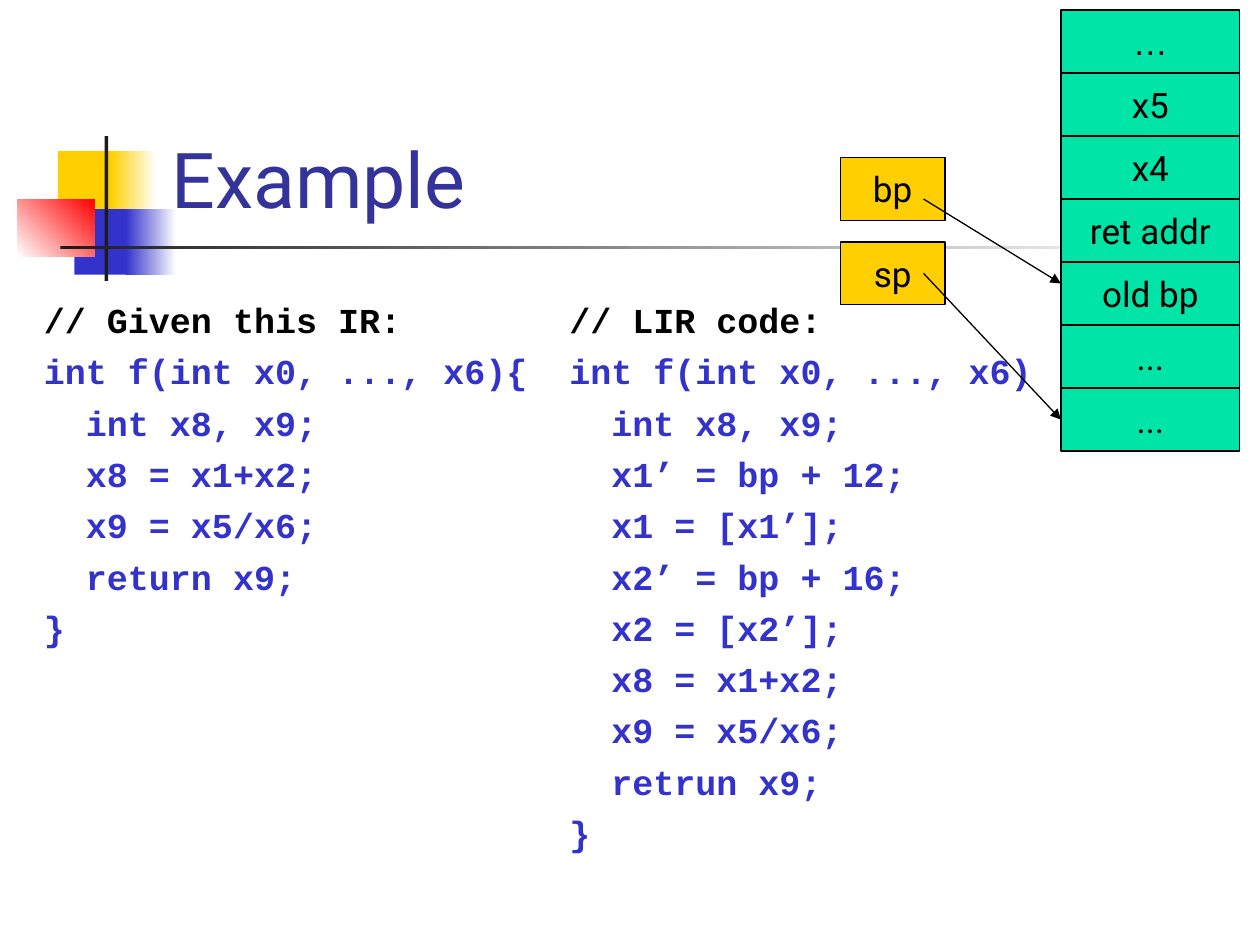
from pptx import Presentation
from pptx.dml.color import RGBColor
from pptx.enum.shapes import MSO_CONNECTOR, MSO_SHAPE
from pptx.enum.text import MSO_ANCHOR, PP_ALIGN
from pptx.oxml.ns import qn
from pptx.util import Inches, Pt
from lxml import etree

RECTANGLE = MSO_SHAPE.RECTANGLE
STRAIGHT = MSO_CONNECTOR.STRAIGHT
MIDDLE, BOTTOM = MSO_ANCHOR.MIDDLE, MSO_ANCHOR.BOTTOM
CENTER, LEFT = PP_ALIGN.CENTER, PP_ALIGN.LEFT

BLACK = RGBColor(0x00, 0x00, 0x00)
WHITE = RGBColor(0xFF, 0xFF, 0xFF)
YELLOW = RGBColor(0xFF, 0xCF, 0x01)
BLUE = RGBColor(0x33, 0x33, 0xCC)
NAVY = RGBColor(0x33, 0x33, 0x99)
RED = RGBColor(0xFF, 0x00, 0x00)
CHARCOAL = RGBColor(0x1C, 0x1C, 0x1C)
GREEN = RGBColor(0x00, 0xE4, 0xA8)

IR_CODE = [
    "// Given this IR:",
    "int f(int x0, ..., x6){",
    "  int x8, x9;",
    "  x8 = x1+x2;",
    "  x9 = x5/x6;",
    "  return x9;",
    "}",
]
LIR_CODE = [
    "// LIR code:",
    "int f(int x0, ..., x6)",
    "  int x8, x9;",
    "  x1’ = bp + 12;",
    "  x1 = [x1’];",
    "  x2’ = bp + 16;",
    "  x2 = [x2’];",
    "  x8 = x1+x2;",
    "  x9 = x5/x6;",
    "  retrun x9;",
    "}",
]
STACK = ["…", "x5", "x4", "ret addr", "old bp", "...", "..."]


def inches(values):
    return [Inches(value) for value in values]


def add_block(page, bounds, start, end=None, angle=0):
    block = page.shapes.add_shape(RECTANGLE, *inches(bounds))
    block.shadow.inherit = False
    block.line.fill.background()
    if end is None:
        block.fill.solid()
        block.fill.fore_color.rgb = start
    else:
        block.fill.gradient()
        block.fill.gradient_angle = angle
        for stop, color in zip(block.fill.gradient_stops, (start, end)):
            stop.color.rgb = color


def add_decoration(page, left, top):
    blocks = [
        ((0.32, 0.12, 0.48, 0.52), YELLOW),
        ((0.74, 0.12, 0.36, 0.52), YELLOW, WHITE),
        ((0.45, 0.58, 0.46, 0.52), BLUE),
        ((0.86, 0.58, 0.4, 0.52), BLUE, WHITE),
        ((0, 0.5, 0.61, 0.46), WHITE, RED, 45),
        ((0.69, 0, 0.03, 1.15), CHARCOAL),
        ((0.34, 0.87, 9, 0.03), CHARCOAL, WHITE),
    ]
    for (x, y, width, height), *colors in blocks:
        add_block(page, (left + x, top + y, width, height), *colors)


def set_title(page, bounds):
    title = page.shapes.title
    title.left, title.top, title.width, title.height = inches(bounds)
    title.element.getparent().append(title.element)
    frame = title.text_frame
    frame.text = "Example"
    frame.vertical_anchor = BOTTOM
    para = frame.paragraphs[0]
    para.alignment = LEFT
    font = para.runs[0].font
    font.name, font.size = "Roboto", Pt(44)
    font.color.rgb = NAVY


def add_code(page, bounds, lines):
    box = page.shapes.add_textbox(*inches(bounds))
    frame = box.text_frame
    frame.word_wrap = True
    frame.margin_top = Inches(0.12)
    frame.text = "\n".join(lines)
    for index, para in enumerate(frame.paragraphs):
        properties = para._p.get_or_add_pPr()
        properties.set("marL", str(Inches(0.38)))
        properties.set("indent", str(Inches(-0.38)))
        para.space_before = Pt(5.3 if index else 0)
        font = para.runs[0].font
        font.name, font.size, font.bold = "Courier New", Pt(20), True
        font.color.rgb = BLUE if index else BLACK


def add_cell(page, bounds, text, color):
    cell = page.shapes.add_shape(RECTANGLE, *inches(bounds))
    cell.shadow.inherit = False
    cell.fill.solid()
    cell.fill.fore_color.rgb = color
    cell.line.color.rgb = BLACK
    cell.line.width = Pt(0.75)
    frame = cell.text_frame
    frame.word_wrap = False
    frame.vertical_anchor = MIDDLE
    frame.text = text
    para = frame.paragraphs[0]
    para.alignment = CENTER
    font = para.runs[0].font
    font.name = "Arial" if text == "…" else "Roboto"
    font.size = Pt(20)
    font.color.rgb = BLACK


def add_stack(page, left, top, width, row_height):
    for row, text in enumerate(STACK):
        add_cell(page, (left, top + row * row_height, width, row_height), text, GREEN)


def add_arrow(page, start, end):
    arrow = page.shapes.add_connector(STRAIGHT, *inches(start + end))
    arrow.line.color.rgb = BLACK
    arrow.line.width = Pt(0.75)
    etree.SubElement(arrow.line._get_or_add_ln(), qn("a:tailEnd"), type="triangle")
    etree.SubElement(arrow._element.spPr, qn("a:effectLst"))


def add_pointers(page, left, width, height):
    pointers = [
        ("bp", 1.25, (7.33, 1.58), (8.42, 2.25)),
        ("sp", 1.92, (7.33, 2.17), (8.42, 3.33)),
    ]
    for text, top, _, _ in pointers:
        add_cell(page, (left, top, width, height), text, YELLOW)
    for _, _, start, end in pointers:
        add_arrow(page, start, end)


def main():
    deck = Presentation()
    deck.slide_width, deck.slide_height = Inches(10), Inches(7.5)
    page = deck.slides.add_slide(deck.slide_layouts[5])
    add_decoration(page, 0.14, 1.08)
    set_title(page, (1.26, 0.23, 8.52, 1.6))
    add_code(page, (0.25, 2.25, 4.04, 4.5), IR_CODE)
    add_code(page, (4.42, 2.25, 4.67, 4.5), LIR_CODE)
    add_stack(page, 8.42, 0.08, 1.42, 0.5)
    add_pointers(page, 6.67, 0.83, 0.5)
    deck.save("out.pptx")


if __name__ == "__main__":
    main()
